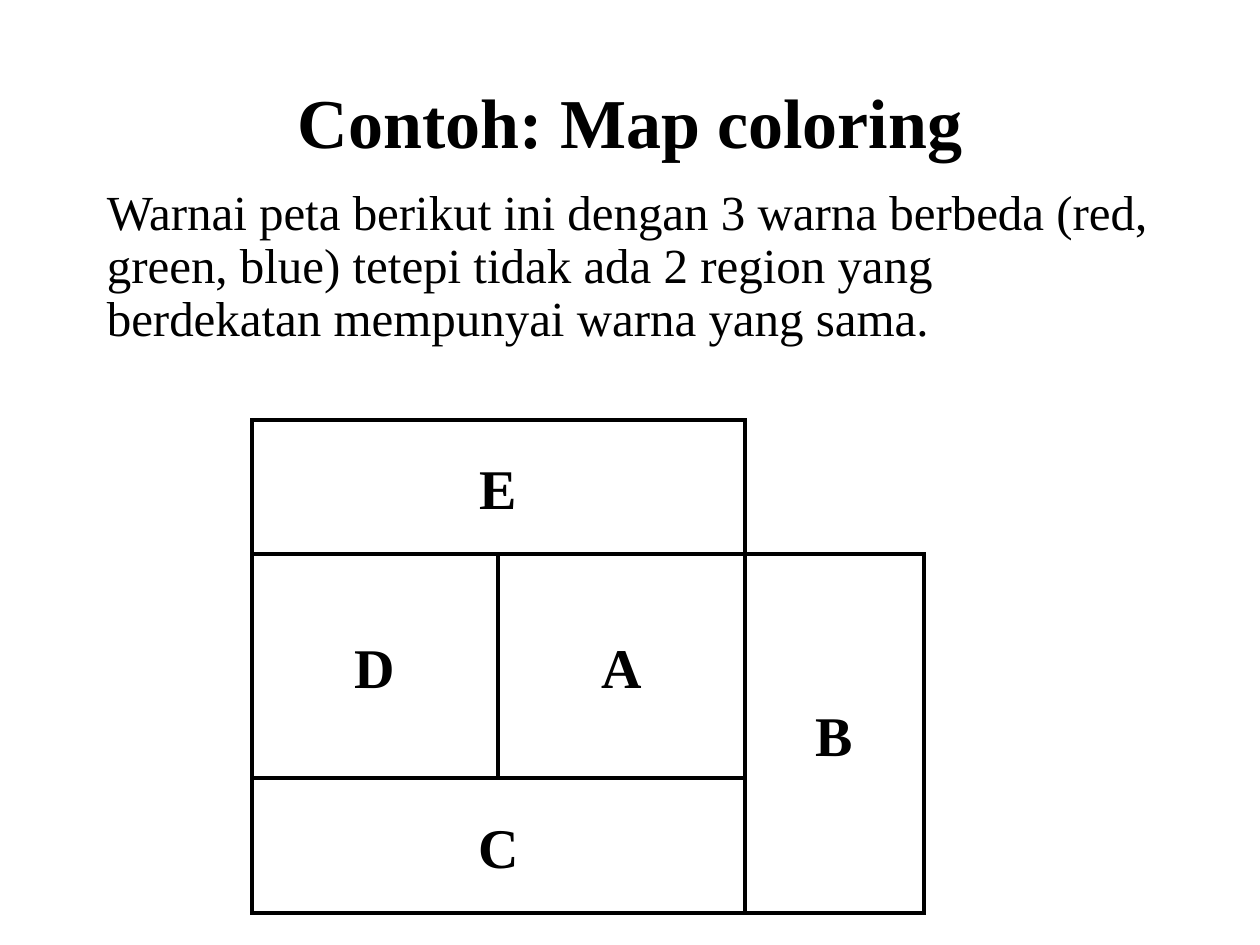
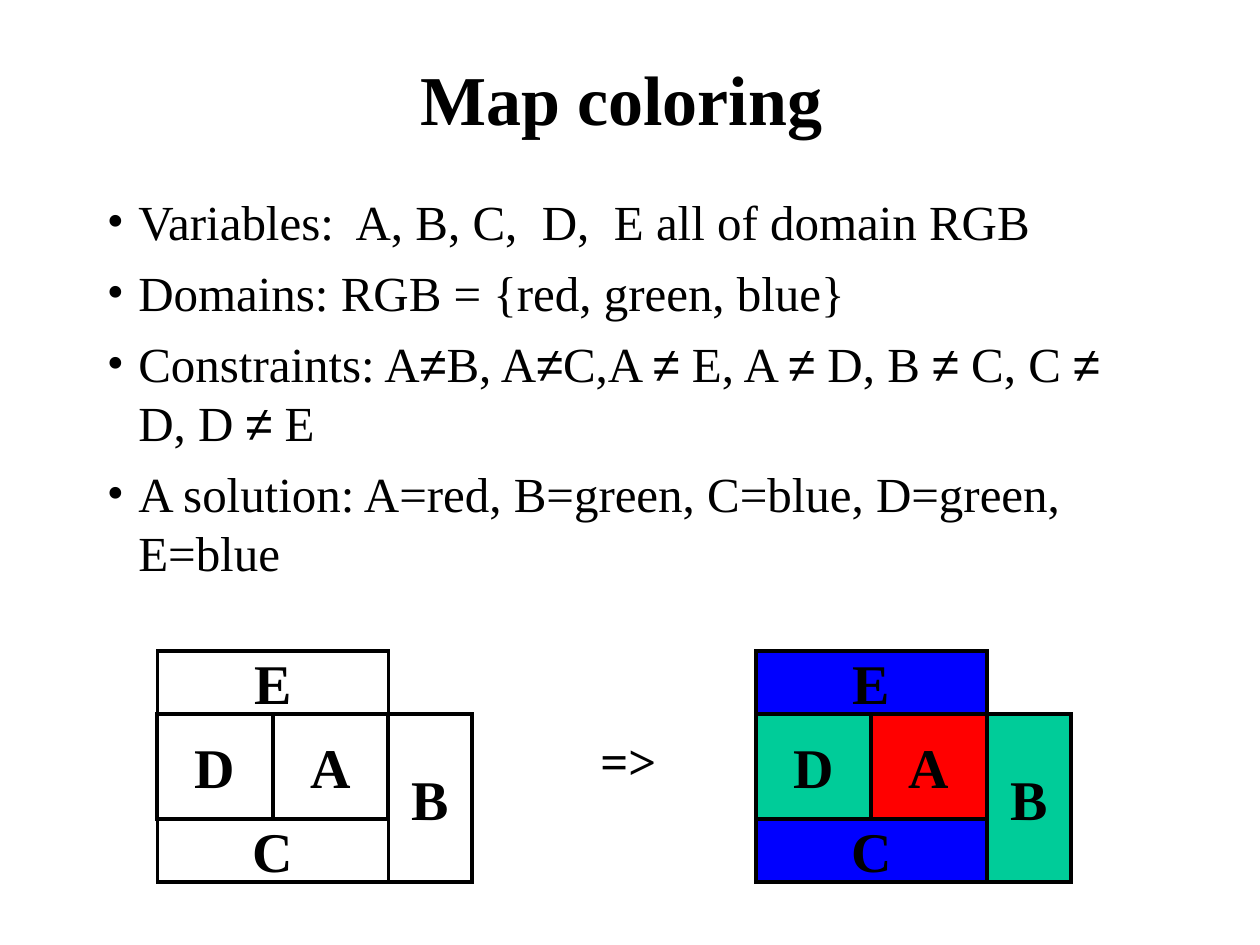
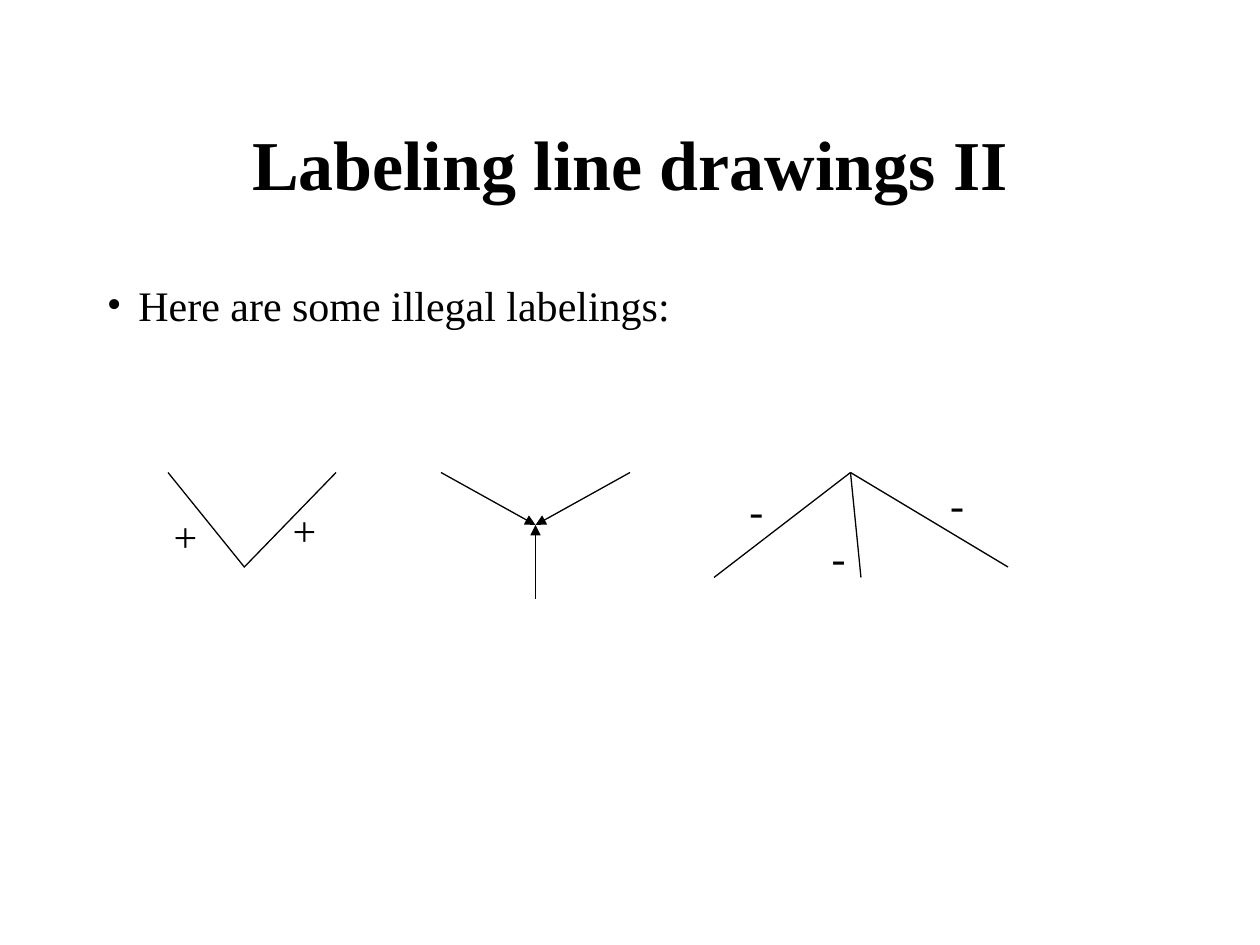
"""Build three slides on map coloring and line labeling."""
from dataclasses import dataclass
from itertools import groupby

from pptx import Presentation
from pptx.dml.color import RGBColor
from pptx.enum.shapes import MSO_CONNECTOR as Connector, MSO_SHAPE as Preset
from pptx.enum.text import MSO_ANCHOR as Anchor, MSO_AUTO_SIZE as AutoSize, PP_ALIGN as Align
from pptx.oxml.ns import qn
from pptx.util import Pt
from lxml.etree import SubElement


@dataclass(frozen=True)
class Theme:
    """Hold the fonts, colours, type sizes and line widths."""
    font: str = "Times New Roman"
    symbol_font: str = "Arial"
    ink: str = "000000"
    red: str = "FF0000"
    green: str = "00CC99"
    blue: str = "0000FF"
    title: int = 40
    region: int = 32
    body: int = 28
    small: int = 24
    border: float = 2.24
    hairline: float = 0.74


THEME = Theme()
LEFT, WIDTH, TITLE_HEIGHT, INDENT = 54, 612, 90, 18
REGIONS = {
    "E": (0, 0, 22, 6),
    "D": (0, 6, 11, 10),
    "A": (11, 6, 11, 10),
    "C": (0, 16, 22, 6),
    "B": (22, 6, 8, 16),
}
SOLUTION = {"A": THEME.red, "B": THEME.green, "C": THEME.blue, "D": THEME.green, "E": THEME.blue}


def color(value):
    """Turn a hex string into a colour."""
    return RGBColor.from_string(value)


def add_runs(paragraph, text, size, bold=False):
    """Add text in runs, with the inequality sign in the symbol font."""
    for is_symbol, letters in groupby(text, lambda letter: letter == "≠"):
        run = paragraph.add_run()
        run.text = "".join(letters)
        run.font.name = THEME.symbol_font if is_symbol else THEME.font
        run.font.size = Pt(size)
        run.font.bold = bold
        run.font.color.rgb = color(THEME.ink)


def add_box(slide, left, top, width, height):
    """Add a wrapping text box and return its text frame."""
    shape = slide.shapes.add_textbox(Pt(left), Pt(top), Pt(width), Pt(height))
    shape.text_frame.word_wrap = True
    return shape.text_frame


def add_title(slide, text, top):
    """Add a centred bold title."""
    frame = add_box(slide, LEFT, top, WIDTH, TITLE_HEIGHT)
    frame.vertical_anchor = Anchor.MIDDLE
    paragraph = frame.paragraphs[0]
    paragraph.alignment = Align.CENTER
    add_runs(paragraph, text, THEME.title, bold=True)


def add_bullet(paragraph):
    """Give a paragraph a hanging round bullet."""
    properties = paragraph._p.get_or_add_pPr()
    properties.set("marL", str(Pt(INDENT)))
    properties.set("indent", str(-Pt(INDENT)))
    bullet_color = SubElement(properties, qn("a:buClr"))
    SubElement(bullet_color, qn("a:srgbClr"), val=THEME.ink)
    SubElement(properties, qn("a:buFont"), typeface=THEME.font)
    SubElement(properties, qn("a:buChar"), char="•")


def add_body(slide, texts, top, height, size=THEME.body, before=7, spacing=1.0, bullets=True):
    """Add the body text, one paragraph for each text."""
    frame = add_box(slide, LEFT, top, WIDTH, height)
    for index, text in enumerate(texts):
        paragraph = frame.add_paragraph() if index else frame.paragraphs[0]
        paragraph.line_spacing = spacing
        paragraph.space_before = Pt(before)
        if bullets:
            add_bullet(paragraph)
        add_runs(paragraph, text, size)


def add_label(slide, text, left, top, width, height, size, bold=False, align=Align.CENTER):
    """Add a short label that does not wrap."""
    frame = add_box(slide, left, top, width, height)
    frame.word_wrap = False
    frame.auto_size = AutoSize.SHAPE_TO_FIT_TEXT
    frame.paragraphs[0].alignment = align
    add_runs(frame.paragraphs[0], text, size, bold)


def set_line(shape, width):
    """Give a shape an ink line with sharp corners and return its XML."""
    shape.line.color.rgb = color(THEME.ink)
    shape.line.width = Pt(width)
    line = shape._element.spPr.find(qn("a:ln"))
    SubElement(line, qn("a:miter"), lim="800000")
    return line


def add_map(slide, left, top, unit, fills=None):
    """Add the five-region map on a grid of the given unit."""
    group = slide.shapes.add_group_shape()
    for name, (column, row, columns, rows) in REGIONS.items():
        shape = group.shapes.add_shape(
            Preset.RECTANGLE, Pt(left + column * unit), Pt(top + row * unit),
            Pt(columns * unit), Pt(rows * unit))
        shape.shadow.inherit = False
        set_line(shape, THEME.border)
        if fills:
            shape.fill.solid()
            shape.fill.fore_color.rgb = color(fills[name])
        else:
            shape.fill.background()
        frame = shape.text_frame
        frame.word_wrap = False
        frame.vertical_anchor = Anchor.MIDDLE
        frame.paragraphs[0].alignment = Align.CENTER
        add_runs(frame.paragraphs[0], name, THEME.region, bold=True)


def add_line(shapes, start, end, arrow=False):
    """Add a thin line, with an arrowhead at its end if asked."""
    points = [Pt(value) for value in (*start, *end)]
    connector = shapes.add_connector(Connector.STRAIGHT, *points)
    line = set_line(connector, THEME.hairline)
    if arrow:
        SubElement(line, qn("a:tailEnd"), type="triangle")
    SubElement(connector._element.spPr, qn("a:effectLst"))


def add_corner(slide, start, *others):
    """Add an open outline through the given points."""
    builder = slide.shapes.build_freeform(Pt(start[0]), Pt(start[1]))
    builder.add_line_segments([(Pt(x), Pt(y)) for x, y in others], close=False)
    shape = builder.convert_to_shape()
    shape.shadow.inherit = False
    shape.fill.background()
    set_line(shape, THEME.hairline)


def build_problem(slide):
    """Build the slide that states the coloring problem."""
    add_title(slide, "Contoh: Map coloring", 24)
    add_body(slide, [
        "Warnai peta berikut ini dengan 3 warna berbeda (red, green, blue) tetepi "
        "tidak ada 2 region yang berdekatan mempunyai warna yang sama.",
    ], 104, 132, spacing=0.9, bullets=False)
    add_map(slide, 144, 240, 12.8)


def build_solution(slide):
    """Build the slide with the constraints and a solution."""
    add_title(slide, "Map coloring ", 10.5)
    add_body(slide, [
        "Variables:  A, B, C,  D,  E all of domain RGB",
        "Domains: RGB = {red, green, blue}",
        "Constraints: A≠B, A≠C,A ≠ E, A ≠ D, B ≠ C, C ≠ D, D ≠ E",
        "A solution: A=red, B=green, C=blue, D=green, E=blue",
    ], 106, 324)
    add_map(slide, 90, 372, 6)
    add_map(slide, 432, 372, 6, SOLUTION)
    add_label(slide, "=>", 336, 414, 48, 41, THEME.body, bold=True, align=Align.LEFT)


def build_labelings(slide):
    """Build the slide with the illegal line labelings."""
    add_title(slide, "Labeling line drawings II", 48)
    add_body(slide, ["Here are some illegal labelings:"], 156, 356, THEME.small, before=6)
    add_corner(slide, (96, 270), (139.6, 324), (192, 270))
    for start in ((252, 270), (360, 270), (306, 342)):
        add_line(slide.shapes, start, (306, 300), arrow=True)
    fan = slide.shapes.add_group_shape()
    for end in ((408, 330), (492, 330), (576, 324)):
        add_line(fan.shapes, (486, 270), end)
    for left, top in ((92, 288), (160, 285)):
        add_label(slide, "+", left, top, 28, 36, THEME.small)
    for left, top in ((421, 273.6), (468, 300), (535.7, 270)):
        add_label(slide, "-", left, top, 22.4, 36, THEME.small)


def main():
    """Build and save the presentation."""
    presentation = Presentation()
    presentation.slide_width, presentation.slide_height = Pt(720), Pt(540)
    blank = presentation.slide_layouts[6]
    for build in (build_problem, build_solution, build_labelings):
        build(presentation.slides.add_slide(blank))
    presentation.save("out.pptx")


main()
